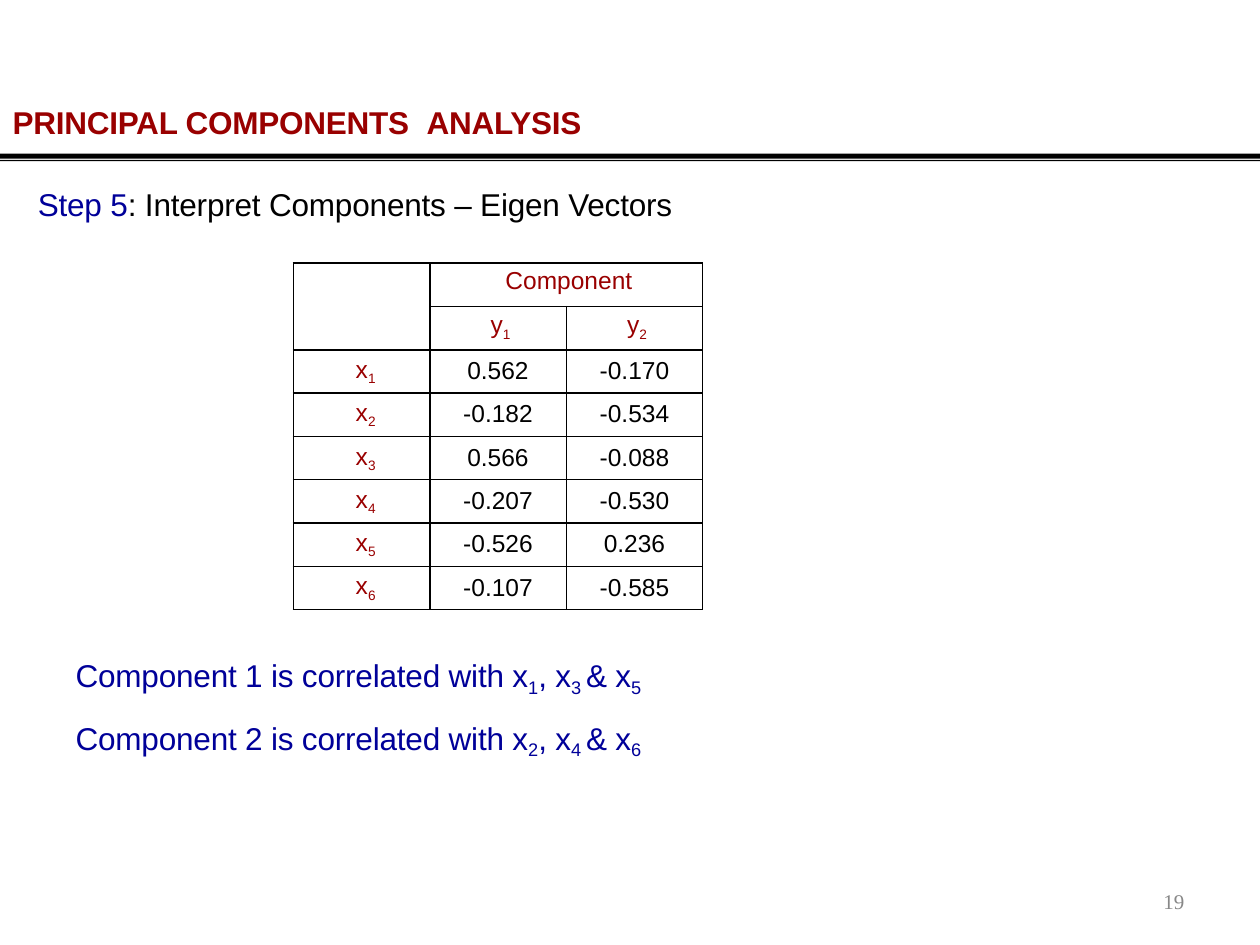
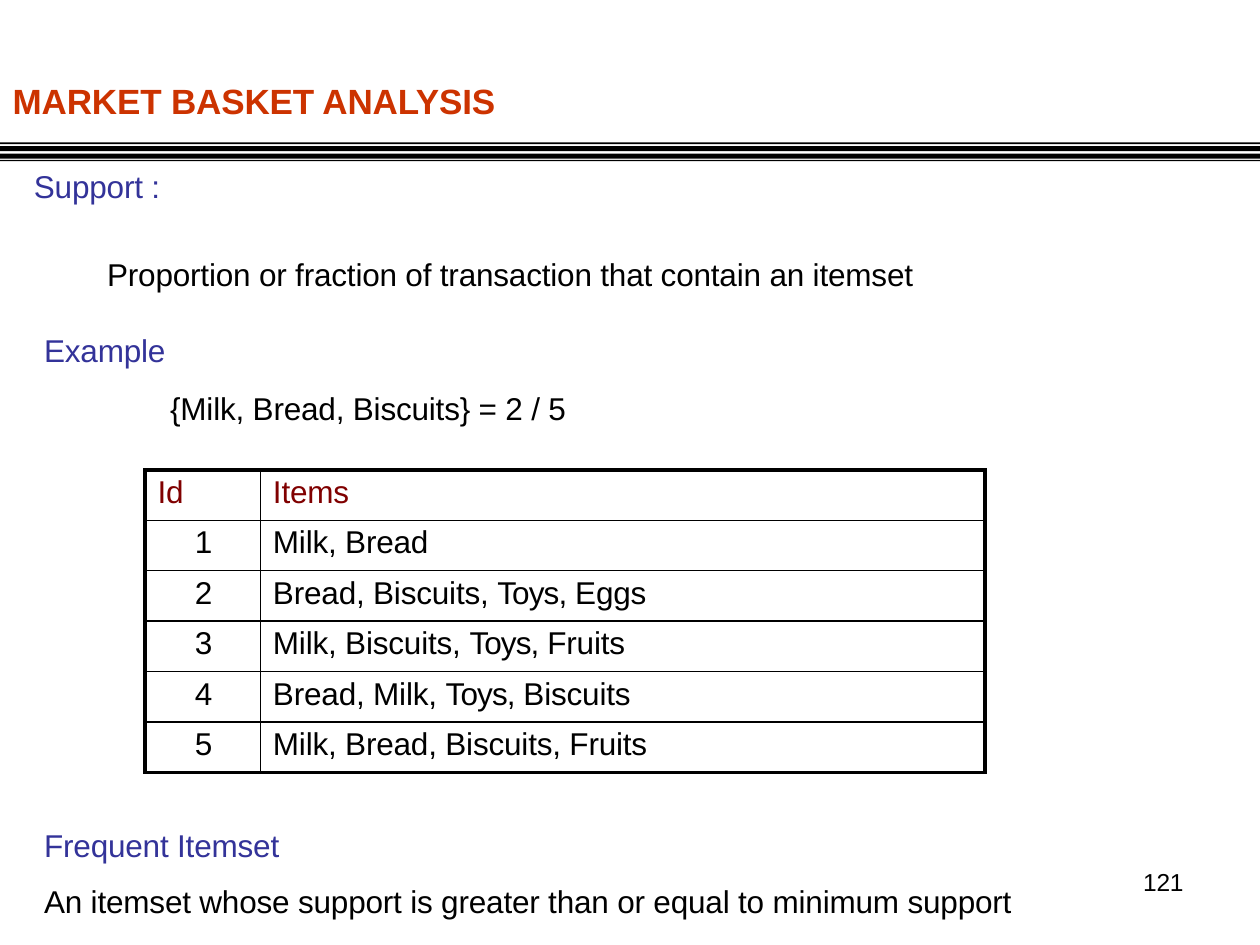
"""Build two analysis slides: component loadings and itemset support."""
import dataclasses

import lxml.etree
import pptx
import pptx.dml.color
import pptx.enum.text
import pptx.oxml.ns
import pptx.util

Pt = pptx.util.Pt
ALIGN = pptx.enum.text.PP_ALIGN


@dataclasses.dataclass(frozen=True)
class Style:
    size: float
    color: str
    bold: bool = False
    tracking: float = -0.1
    baseline: int = 0
    font: str = "Arial"


@dataclasses.dataclass(frozen=True)
class Theme:
    black: str = "000000"
    dark_red: str = "990000"
    maroon: str = "800000"
    navy: str = "000099"
    indigo: str = "333399"
    orange: str = "CC3300"
    gray: str = "888888"
    title: float = 18
    big_title: float = 20
    body: float = 18
    cell: float = 14
    cell_sub: float = 13.5
    page: float = 12


T = Theme()
STYLES = {
    "title": Style(T.title, T.dark_red, True, -0.15),
    "title gap": Style(T.title, T.dark_red, True, 5),
    "big title": Style(T.big_title, T.orange, True),
    "body": Style(T.body, T.black),
    "tight": Style(T.body, T.black, tracking=-0.5),
    "navy": Style(T.body, T.navy),
    "navy sub": Style(T.body, T.navy, baseline=-21),
    "indigo": Style(T.body, T.indigo),
    "column": Style(T.body, T.maroon),
    "label": Style(T.cell, T.dark_red, tracking=0),
    "label sub": Style(T.cell_sub, T.dark_red, tracking=0, baseline=-22),
    "value": Style(T.cell, T.black, tracking=0),
    "serif page": Style(T.page, T.gray, tracking=0, font="Times New Roman"),
    "page": Style(T.cell, T.black),
}

SLIDE_W, SLIDE_H = 720, 540
RULE = [(87.84, 90.72), (91.44, 92.16)]
UPPER_RULE = [(81.36, 82.44), (83.52, 86.4)]


def variable(letter, number):
    return [(letter, "label"), (str(number), "label sub")]


def finding(component, variables):
    a, b, c = variables
    return [(f"Component {component} is correlated with x", "navy"),
            (a, "navy sub"), (", x", "navy"), (b + " ", "navy sub"),
            ("& x", "navy"), (c, "navy sub")]


LOADINGS = [
    ("0.562", "-0.170"), ("-0.182", "-0.534"), ("0.566", "-0.088"),
    ("-0.207", "-0.530"), ("-0.526", "0.236"), ("-0.107", "-0.585"),
]
BASKETS = [
    [("Milk, Bread", "body")],
    [("Bread, Biscuits, ", "body"), ("Toys, ", "tight"), ("Eggs", "body")],
    [("Milk, Biscuits, ", "body"), ("Toys, ", "tight"), ("Fruits", "body")],
    [("Bread, Milk, ", "body"), ("Toys, ", "tight"), ("Biscuits", "body")],
    [("Milk, Bread, Biscuits, Fruits", "body")],
]

LABEL = dict(align=ALIGN.RIGHT, top=3.6, right=31)
HEAD = dict(align=ALIGN.CENTER, top=2.9, left=2.9)
VALUE = dict(align=ALIGN.CENTER, top=4.3)
ITEMS = dict(align=ALIGN.LEFT, top=2.9, left=7.2)
ID = dict(align=ALIGN.RIGHT, top=2.9, right=27.5)
EMPTY = ([], {})

LOADING_ROWS = [
    [EMPTY, ([("Component", "label")], dict(align=ALIGN.LEFT, top=2.2, left=43.2)), EMPTY],
    [EMPTY] + [(variable("y", n), HEAD) for n in (1, 2)],
] + [
    [(variable("x", n), LABEL)] + [([(v, "value")], VALUE) for v in values]
    for n, values in enumerate(LOADINGS, 1)
]
BASKET_ROWS = [[([(name, "column")], ITEMS) for name in ("Id", "Items")]] + [
    [([(str(n), "body")], ID), (items, ITEMS)] for n, items in enumerate(BASKETS, 1)
]

SLIDES = [
    dict(
        rules=[RULE],
        boxes=[
            dict(at=(664.8, 507.6, 24, 16), lines=[(0, 0, [("19", "serif page")])]),
            dict(at=(7.2, 58.6, 400, 68), lines=[
                (0, 0, [("PRINCIPAL COMPONENTS", "title"), (" ", "title gap"),
                        ("ANALYSIS", "title")]),
                (14.4, 25.5, [("Step 5", "navy"),
                              (": Interpret Components – Eigen Vectors", "body")]),
            ]),
            dict(at=(43.2, 363, 340, 68), spacing=1.5, lines=[
                (0, 0, finding(1, "135")),
                (0, 0, finding(2, "246")),
            ]),
        ],
        table=dict(at=(167.6, 150.4), cols=[78] * 3, row_height=24.75, outer=1,
                   rows=LOADING_ROWS, merges=[((0, 0), (1, 0)), ((0, 1), (0, 2))]),
    ),
    dict(
        rules=[RULE, UPPER_RULE],
        boxes=[
            dict(at=(653.2, 495.6, 26, 18), lines=[(0, 0, [("121", "page")])]),
            dict(at=(7.2, 45.6, 530, 194), lines=[
                (0, 0, [("MARKET BASKET ANALYSIS", "big title")]),
                (12.2, 26, [("Support :", "indigo")]),
                (54, 28.4, [("Proportion or fraction of transaction that contain an itemset",
                             "body")]),
                (18, 22.2, [("Example", "indigo")]),
                (90, 11.4, [("{Milk, Bread, Biscuits} = 2 / 5", "body")]),
            ]),
            dict(at=(25.2, 472, 140, 23), lines=[(0, 0, [("Frequent Itemset", "indigo")])]),
            dict(at=(25.2, 504.2, 570, 22), lines=[
                (0, 0, [("An itemset whose support is greater than or equal to minimum support",
                         "body")]),
            ]),
        ],
        table=dict(at=(82.8, 268.5), cols=[66, 414], row_height=28.8, outer=2.25,
                   rows=BASKET_ROWS, merges=[]),
    ),
]


def add_runs(p, runs):
    for text, name in runs:
        style = STYLES[name]
        r = p.add_run()
        r.text = text
        r.font.name = style.font
        r.font.size = Pt(style.size)
        r.font.bold = style.bold
        r.font.color.rgb = pptx.dml.color.RGBColor.from_string(style.color)
        rPr = r.font._element
        rPr.set("spc", str(round(style.tracking * 100)))
        if style.baseline:
            rPr.set("baseline", str(style.baseline * 1000))


def add_box(s, at, lines, spacing=None):
    tf = s.shapes.add_textbox(*map(Pt, at)).text_frame
    tf.word_wrap = True
    tf.margin_left = tf.margin_top = tf.margin_right = tf.margin_bottom = 0
    for i, (indent, before, runs) in enumerate(lines):
        p = tf.add_paragraph() if i else tf.paragraphs[0]
        p._p.get_or_add_pPr().set("marL", str(Pt(indent)))
        if before:
            p.space_before = Pt(before)
        if spacing:
            p.line_spacing = spacing
        add_runs(p, runs)


def add_rule(s, bars):
    first = bars[0][0]
    builder = s.shapes.build_freeform(0, Pt(first), scale=1.0)
    for top, bottom in bars:
        if top != first:
            builder.move_to(0, Pt(top))
        builder.add_line_segments(
            [(Pt(SLIDE_W), Pt(top)), (Pt(SLIDE_W), Pt(bottom)), (0, Pt(bottom))])
    sp = builder.convert_to_shape()
    sp.shadow.inherit = False
    sp.fill.solid()
    sp.fill.fore_color.rgb = pptx.dml.color.RGBColor.from_string(T.black)
    sp.line.fill.background()


def add_border(tcPr, side, weight):
    qn = pptx.oxml.ns.qn
    ln = lxml.etree.SubElement(tcPr, qn(f"a:ln{side}"), w=str(Pt(weight)))
    fill = lxml.etree.SubElement(ln, qn("a:solidFill"))
    lxml.etree.SubElement(fill, qn("a:srgbClr"), val=T.black)


def fill_cell(cell, runs, align=None, top=0, left=0, right=0):
    cell.margin_top, cell.margin_left, cell.margin_right = Pt(top), Pt(left), Pt(right)
    cell.margin_bottom = 0
    p = cell.text_frame.paragraphs[0]
    p.alignment = align
    add_runs(p, runs)


def add_table(s, at, cols, row_height, outer, rows, merges):
    n_rows, n_cols = len(rows), len(cols)
    size = (sum(cols), row_height * n_rows)
    table = s.shapes.add_table(n_rows, n_cols, *map(Pt, at + size)).table
    table.first_row = table.horz_banding = False
    for column, width in zip(table.columns, cols):
        column.width = Pt(width)
    for i, row in enumerate(rows):
        table.rows[i].height = Pt(row_height)
        for j, (runs, layout) in enumerate(row):
            cell = table.cell(i, j)
            fill_cell(cell, runs, **layout)
            edges = dict(L=j == 0, R=j == n_cols - 1, T=i == 0, B=i == n_rows - 1)
            for side, is_outer in edges.items():
                add_border(cell._tc.get_or_add_tcPr(), side, outer if is_outer else 1)
            cell.fill.background()
    for start, end in merges:
        table.cell(*start).merge(table.cell(*end))


def main():
    prs = pptx.Presentation()
    prs.slide_width, prs.slide_height = Pt(SLIDE_W), Pt(SLIDE_H)
    for content in SLIDES:
        s = prs.slides.add_slide(prs.slide_layouts[6])
        for bars in content["rules"]:
            add_rule(s, bars)
        for box in content["boxes"]:
            add_box(s, **box)
        add_table(s, **content["table"])
    prs.save("out.pptx")


if __name__ == "__main__":
    main()
